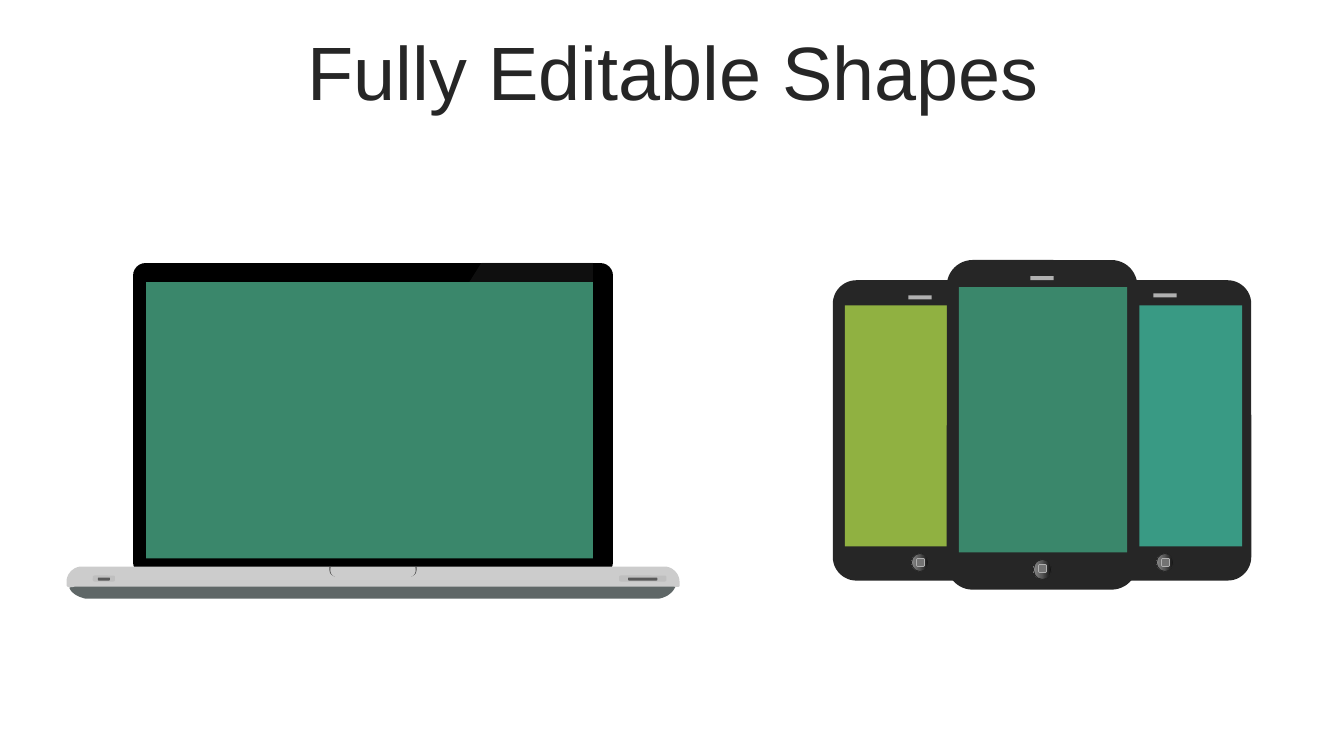
from lxml.etree import SubElement
from pptx import Presentation
from pptx.dml.color import RGBColor as RGB
from pptx.enum.shapes import MSO_SHAPE as Kind
from pptx.enum.text import MSO_ANCHOR as Anchor, PP_ALIGN as Align
from pptx.oxml.ns import qn
from pptx.util import Inches, Pt


def hue(code):
    return RGB.from_string(code)


def bend(a, b, c, d, steps=10):
    for i in range(1, steps + 1):
        t = i / steps
        u = 1 - t
        yield tuple(u**3 * p + 3 * u * u * t * q + 3 * u * t * t * r + t**3 * s
                    for p, q, r, s in zip(a, b, c, d))


def trace(start, *steps):
    pts = [start]
    for step in steps:
        if len(step) == 2:
            pts.append(step)
        else:
            pts += list(bend(pts[-1], step[:2], step[2:4], step[4:]))
    return pts


class Deck:
    font = "Arial"
    dark = "262626"
    light = "B0B0B0"
    green = "3A876B"
    shine = ((0, "0F0F0F"), (56, "595959"), (91, "808080"), (100, "BFBFBF"))

    def __init__(self):
        self.deck = Presentation()
        self.deck.slide_width = Inches(13.33)
        self.deck.slide_height = Inches(7.5)
        self.slide = self.deck.slides.add_slide(self.deck.slide_layouts[5])
        self.tree = self.slide.shapes

    def title(self, text, box):
        shape = self.slide.shapes.title
        shape.left, shape.top, shape.width, shape.height = map(Inches, box)
        frame = shape.text_frame
        frame.text = text
        frame.word_wrap = True
        frame.vertical_anchor = Anchor.MIDDLE
        para = frame.paragraphs[0]
        looks = {"alignment": Align.CENTER, "line_spacing": 0.9, "space_before": Pt(10)}
        for name, value in looks.items():
            setattr(para, name, value)
        for name, value in {"name": self.font, "size": Pt(54), "bold": False}.items():
            setattr(para.font, name, value)
        para.font.color.rgb = hue(self.dark)

    def group(self):
        self.tree = self.slide.shapes.add_group_shape().shapes

    def paint(self, shape, fill, line=None, width=0, alpha=None):
        shape.shadow.inherit = False
        if isinstance(fill, str):
            shape.fill.solid()
            shape.fill.fore_color.rgb = hue(fill)
            if alpha:
                tint = shape.fill._xPr.find(".//" + qn("a:srgbClr"))
                SubElement(tint, qn("a:alpha"), val=str(alpha * 1000))
        else:
            shape.fill.gradient()
            shape.fill.gradient_angle = 180
            stops = shape.fill._xPr.find(".//" + qn("a:gsLst"))
            for stop in list(stops):
                stops.remove(stop)
            for pos, code in fill:
                stop = SubElement(stops, qn("a:gs"), pos=str(pos * 1000))
                SubElement(stop, qn("a:srgbClr"), val=code)
        if line:
            shape.line.color.rgb = hue(line)
            shape.line.width = Pt(width)
        else:
            shape.line.fill.background()

    def block(self, kind, box, fill, line=None, width=0, adj=None):
        shape = self.tree.add_shape(kind, *map(Inches, box))
        if adj is not None:
            shape.adjustments[0] = adj
        self.paint(shape, fill, line, width)

    def form(self, fill, *paths, alpha=None):
        paths = [[(round(x * 1000), round(y * 1000)) for x, y in path] for path in paths]
        pen = self.tree.build_freeform(*paths[0][0], scale=Inches(1) / 1000)
        for i, path in enumerate(paths):
            if i:
                pen.move_to(*path[0])
            pen.add_line_segments(path[1:], close=True)
        self.paint(pen.convert_to_shape(), fill, alpha=alpha)

    def port(self, left, wide, inset, slot):
        self.block(Kind.ROUNDED_RECTANGLE, (left, 5.71, wide, 0.06), "BFBFBF", adj=0.28)
        self.block(Kind.ROUNDED_RECTANGLE, (left + inset, 5.73, slot, 0.03), "595959", adj=0.28)

    def laptop(self):
        self.group()
        self.form("5F6767", trace(
            (6.53, 5.94), (6.53, 5.94, 6.65, 5.93, 6.7, 5.82),
            (6.7, 5.79, 6.68, 5.77, 6.65, 5.77), (0.75, 5.79),
            (0.72, 5.79, 0.69, 5.81, 0.69, 5.84), (0.73, 5.91, 0.81, 5.93, 0.85, 5.94)))
        self.block(Kind.ROUNDED_RECTANGLE, (1.32, 2.61, 4.76, 3.09), "000000", adj=0.04)
        self.block(Kind.RECTANGLE, (1.52, 2.8, 4.35, 2.64), "F2F2F2")
        self.form("CCCCCC", trace(
            (0.81, 5.62), (6.59, 5.62), (6.67, 5.62, 6.74, 5.69, 6.74, 5.77),
            (6.74, 5.81), (6.74, 5.81, 6.75, 5.83, 6.68, 5.82), (0.74, 5.82),
            (0.69, 5.83, 0.66, 5.83, 0.66, 5.8), (0.66, 5.77),
            (0.66, 5.69, 0.73, 5.62, 0.81, 5.62)))
        hook = trace((3.27, 5.62), (3.28, 5.63), (3.28, 5.63, 3.26, 5.7, 3.32, 5.72),
                     (3.25, 5.7, 3.27, 5.62, 3.27, 5.62))
        self.form("4D4D4D", hook, [(7.4 - x, y) for x, y in hook])
        self.port(0.92, 0.22, 0.05, 0.12)
        self.port(6.14, 0.47, 0.09, 0.29)
        self.form("999999", [(4.78, 2.6), (5.88, 2.6), (5.88, 5.47), (2.98, 5.47)], alpha=10)

    def phone(self, body, slot, knob, screen, fill):
        self.block(Kind.ROUNDED_RECTANGLE, body, self.dark, adj=0.136)
        self.block(Kind.RECTANGLE, (*slot, 0.23, 0.04), self.light)
        self.block(Kind.OVAL, knob, self.shine, self.dark)
        self.block(Kind.ROUNDED_RECTANGLE, (knob[0] + 0.05, knob[1] + 0.05, 0.08, 0.08),
                   "737373", self.light, 0.5)
        self.block(Kind.RECTANGLE, screen, fill)

    def phones(self):
        self.group()
        for left, slot, edge, fill in ((10.69, 2.91, 11.3, "399A84"),
                                       (8.26, 2.93, 8.38, "90B141")):
            self.phone((left, 2.78, 1.72, 2.98), (left + 0.75, slot),
                       (left + 0.78, 5.49, 0.17, 0.18), (edge, 3.03, 1.02, 2.39), fill)
        self.phone((9.39, 2.58, 1.89, 3.27), (10.22, 2.74), (10.25, 5.55, 0.18, 0.2),
                   (9.51, 2.85, 1.67, 2.63), self.green)


def main():
    show = Deck()
    show.title("Fully Editable Shapes", (0.35, 0.36, 12.66, 0.79))
    show.laptop()
    show.phones()
    show.tree = show.slide.shapes
    show.block(Kind.RECTANGLE, (1.45, 2.8, 4.43, 2.74), show.green)
    show.deck.save("out.pptx")


if __name__ == "__main__":
    main()
